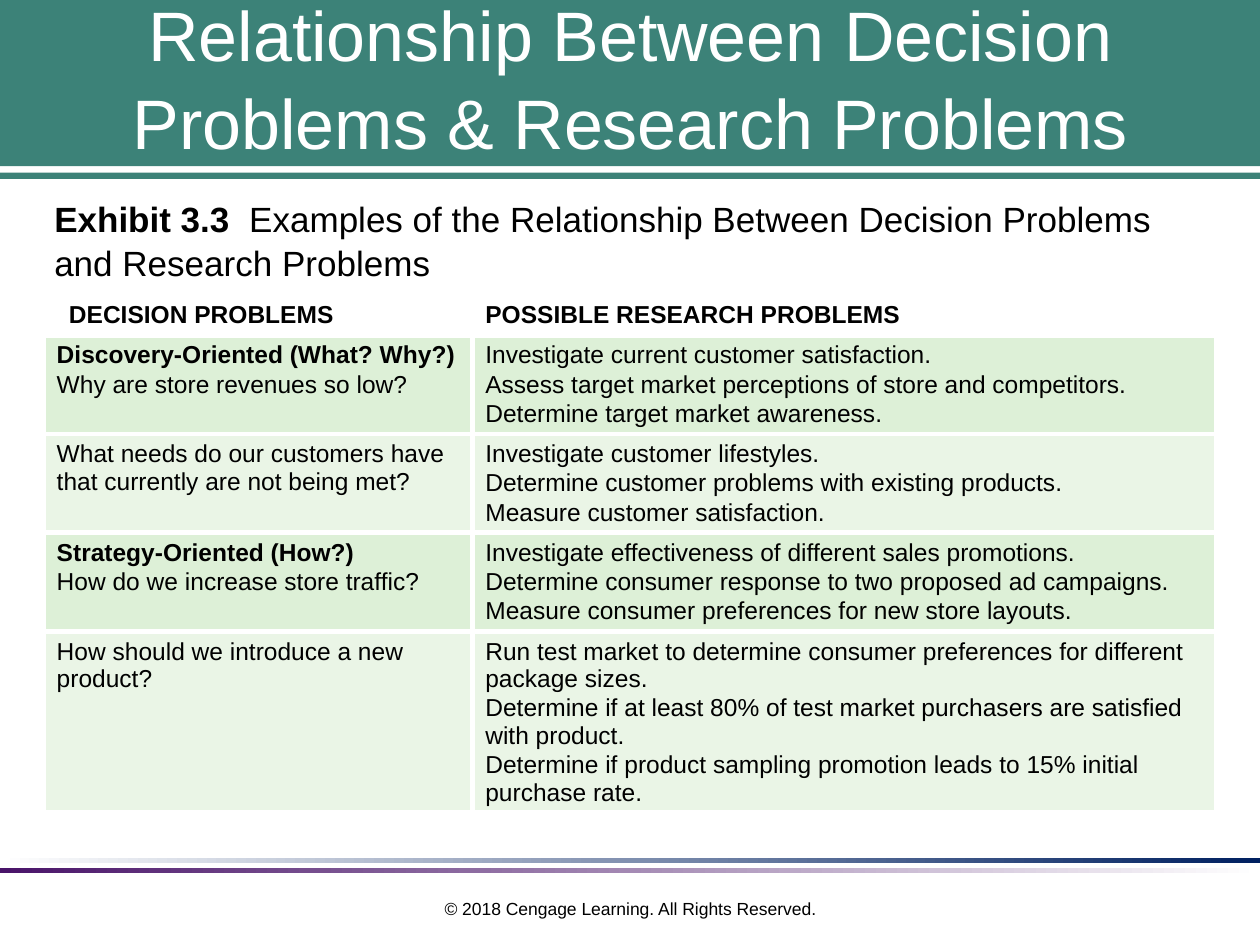
from lxml.etree import SubElement
from pptx import Presentation
from pptx.dml.color import RGBColor
from pptx.enum.shapes import MSO_SHAPE
from pptx.enum.text import MSO_ANCHOR, MSO_AUTO_SIZE, PP_ALIGN
from pptx.oxml.ns import qn
from pptx.util import Cm, Pt

TEAL = RGBColor(0x3C, 0x82, 0x78)
PURPLE = RGBColor(0x49, 0x14, 0x69)
NAVY = RGBColor(0x00, 0x20, 0x60)
WHITE = RGBColor(0xFF, 0xFF, 0xFF)
BLACK = RGBColor(0x00, 0x00, 0x00)
GREEN = RGBColor(0xDD, 0xF0, 0xD7)
PALE_GREEN = RGBColor(0xEA, 0xF5, 0xE6)

HEADERS = ["DECISION PROBLEMS", "POSSIBLE RESEARCH PROBLEMS"]
PROBLEMS = [
    ("Discovery-Oriented (What? Why?)", "Why are store revenues so low?",
     ["Investigate current customer satisfaction.",
      "Assess target market perceptions of store and competitors.",
      "Determine target market awareness."]),
    (None, "What needs do our customers have that currently are not being met?",
     ["Investigate customer lifestyles.",
      "Determine customer problems with existing products.",
      "Measure customer satisfaction."]),
    ("Strategy-Oriented (How?)", "How do we increase store traffic?",
     ["Investigate effectiveness of different sales promotions.",
      "Determine consumer response to two proposed ad campaigns.",
      "Measure consumer preferences for new store layouts."]),
    (None, "How should we introduce a new product?",
     ["Run test market to determine consumer preferences for different package sizes.",
      "Determine if at least 80% of test market purchasers are satisfied with product.",
      "Determine if product sampling promotion leads to 15% initial purchase rate."]),
]
COL_WIDTHS = [8.64, 14.98]
ROW_HEIGHTS = [1.04, 1.98, 1.98, 1.98, 3.62]


def add_run(p, text, size=14, bold=False, color=BLACK, font="Arial"):
    r = p.add_run()
    r.text = text
    r.font.name = font
    r.font.size = Pt(size)
    r.font.bold = bold
    r.font.color.rgb = color
    return r


class SlideBuilder:
    def __init__(self, prs):
        self.s = prs.slides.add_slide(prs.slide_layouts[1])

    def place(self, sp, left, top, width, height):
        sp.left, sp.top, sp.width, sp.height = map(Cm, (left, top, width, height))
        tf = sp.text_frame
        tf.word_wrap = True
        tf.auto_size = MSO_AUTO_SIZE.NONE
        return tf

    def bar(self, top, height, *colors):
        sp = self.s.shapes.add_shape(MSO_SHAPE.RECTANGLE, 0, Cm(top), Cm(25.4), Cm(height))
        sp.shadow.inherit = False
        sp.line.fill.background()
        if len(colors) == 1:
            sp.fill.solid()
            sp.fill.fore_color.rgb = colors[0]
        else:
            sp.fill.gradient()
            sp.fill.gradient_angle = 0
            for i, (stop, color) in enumerate(zip(sp.fill.gradient_stops, colors)):
                stop.position = i
                stop.color.rgb = color
        self.s.shapes._spTree.insert(2, sp._element)

    def title(self, text):
        tf = self.place(self.s.shapes.title, 0.64, 0, 24.13, 3.05)
        tf.vertical_anchor = MSO_ANCHOR.MIDDLE
        p = tf.paragraphs[0]
        p.alignment = PP_ALIGN.CENTER
        p.line_spacing = 1.05
        add_run(p, text, size=40, color=WHITE)

    def caption(self, label, text):
        tf = self.place(self.s.placeholders[1], 0.84, 3.81, 22.86, 2.03)
        p = tf.paragraphs[0]
        pPr = p._p.get_or_add_pPr()
        pPr.set("marL", "0")
        pPr.set("indent", "0")
        SubElement(pPr, qn("a:buNone"))
        p.space_before = Pt(0)
        p.space_after = Pt(6)
        p.line_spacing = 1.05
        add_run(p, label, size=20, bold=True)
        add_run(p, text, size=20)

    def footer(self, text):
        sp = self.s.shapes.add_textbox(0, 0, 0, 0)
        p = self.place(sp, 8.64, 17.98, 8.13, 0.76).paragraphs[0]
        p.alignment = PP_ALIGN.CENTER
        add_run(p, text, size=10)

    def cell(self, cell, lines, fill=None):
        tcPr = cell._tc.get_or_add_tcPr()
        for side in ("a:lnL", "a:lnR", "a:lnT", "a:lnB"):
            ln = SubElement(tcPr, qn(side), w=str(Pt(3)))
            SubElement(SubElement(ln, qn("a:solidFill")), qn("a:srgbClr"), val=str(WHITE))
        if fill is None:
            cell.fill.background()
            cell.vertical_anchor = MSO_ANCHOR.BOTTOM
        else:
            cell.fill.solid()
            cell.fill.fore_color.rgb = fill
        tf = cell.text_frame
        for i, (text, bold) in enumerate(lines):
            p = tf.add_paragraph() if i else tf.paragraphs[0]
            p.space_before = Pt(1 if i else 0)
            add_run(p, text, bold=bold)

    def table(self, headers, problems):
        shape = self.s.shapes.add_table(
            len(problems) + 1, len(headers), Cm(0.89), Cm(5.72),
            Cm(sum(COL_WIDTHS)), Cm(sum(ROW_HEIGHTS)))
        tbl = shape.table
        tbl.first_row = tbl.horz_banding = False
        for col, width in zip(tbl.columns, COL_WIDTHS):
            col.width = Cm(width)
        for row, height in zip(tbl.rows, ROW_HEIGHTS):
            row.height = Cm(height)
        for c, text in enumerate(headers):
            self.cell(tbl.cell(0, c), [(text, True)])
        tbl.cell(0, 0).margin_left = Cm(0.5)
        for r, (kind, question, research) in enumerate(problems, 1):
            fill = GREEN if r % 2 else PALE_GREEN
            heading = [(kind, True)] if kind else []
            self.cell(tbl.cell(r, 0), heading + [(question, False)], fill)
            self.cell(tbl.cell(r, 1), [(text, False) for text in research], fill)


def main():
    prs = Presentation()
    prs.slide_width, prs.slide_height = Cm(25.4), Cm(19.05)
    slide = SlideBuilder(prs)
    slide.bar(-0.1, 3.45, TEAL)
    slide.bar(3.48, 0.13, TEAL)
    slide.bar(17.3, 0.1, WHITE, NAVY)
    slide.bar(17.5, 0.1, PURPLE, WHITE)
    slide.title("Relationship Between Decision Problems & Research Problems")
    slide.caption("Exhibit 3.3  ", "Examples of the Relationship Between Decision Problems "
                  "and Research Problems")
    slide.table(HEADERS, PROBLEMS)
    slide.footer("© 2018 Cengage Learning. All Rights Reserved.")
    prs.save("out.pptx")


if __name__ == "__main__":
    main()
